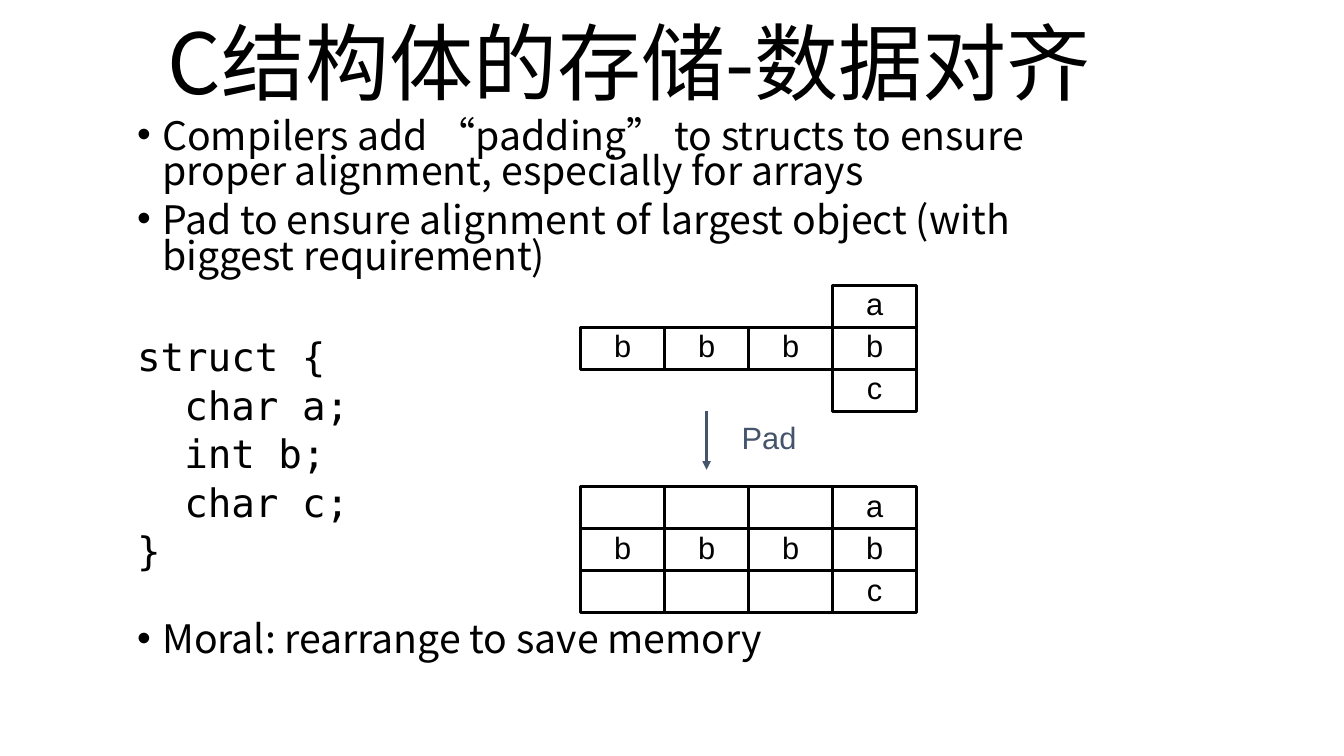
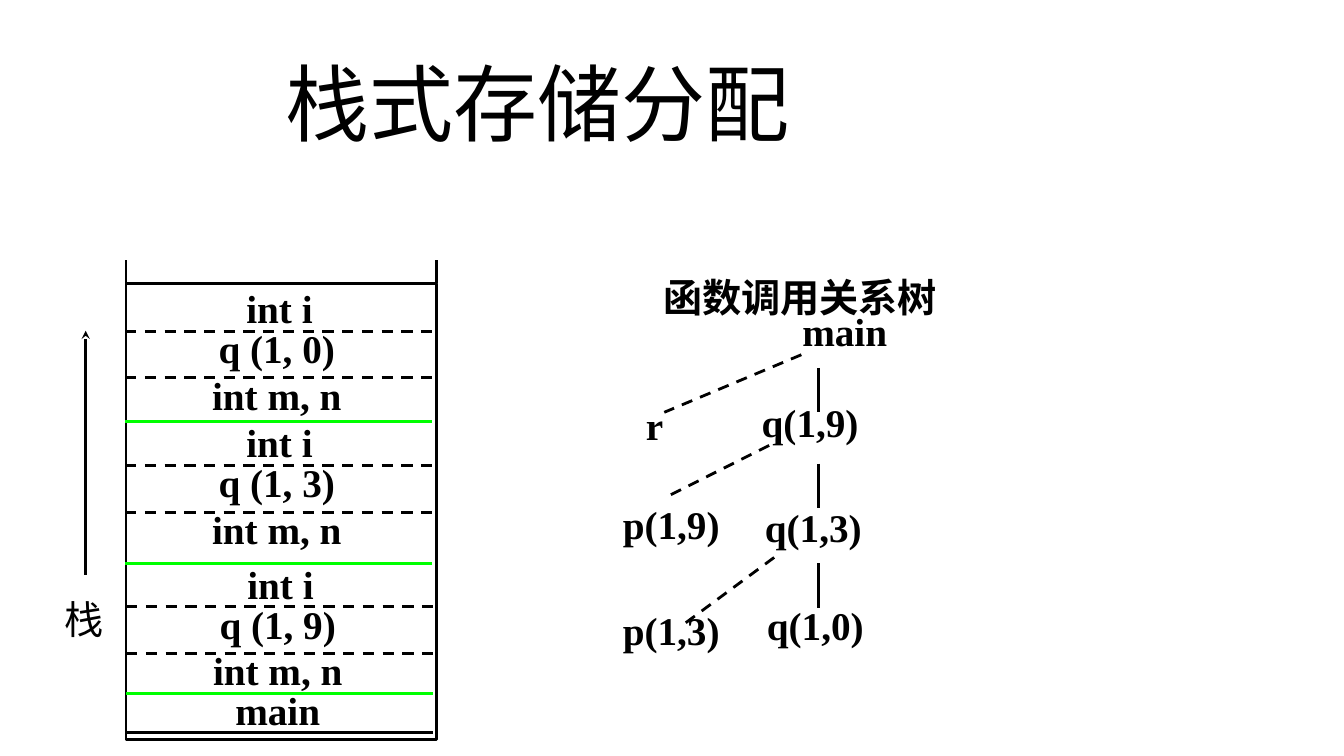
from dataclasses import dataclass

from lxml.etree import SubElement
from pptx import Presentation
from pptx.dml.color import RGBColor
from pptx.enum.dml import MSO_LINE
from pptx.enum.shapes import MSO_CONNECTOR, MSO_SHAPE
from pptx.enum.text import MSO_ANCHOR, MSO_AUTO_SIZE, PP_ALIGN
from pptx.oxml.ns import qn
from pptx.util import Pt


@dataclass(frozen=True)
class Theme:
    black: RGBColor = RGBColor(0, 0, 0)
    slate: RGBColor = RGBColor(0x44, 0x54, 0x6A)
    green: RGBColor = RGBColor(0, 0xFF, 0)
    sans: str = "Noto Sans CJK SC"
    mono: str = "DejaVu Sans Mono"
    cell: str = "Arial"
    serif: str = "Times New Roman"
    heading: str = "Courier New"
    title_size: int = 60
    text_size: int = 28
    cell_size: int = 22
    line_width: int = 2


THEME = Theme()


# Formatting helpers
def set_values(target, values):
    for name, value in values.items():
        setattr(target, name, value)


def place(shape, left, top, width, height):
    set_values(shape, {"left": Pt(left), "top": Pt(top),
                       "width": Pt(width), "height": Pt(height)})


def write(paragraph, text, font, size=THEME.text_size, color=THEME.black,
          bold=False, **paragraph_format):
    set_values(paragraph, paragraph_format)
    run = paragraph.add_run()
    run.text = text
    set_values(run.font, {"name": font, "size": Pt(size), "bold": bold})
    run.font.color.rgb = color
    east_asian = SubElement(run.font._element, qn("a:ea"))
    east_asian.set("typeface", THEME.sans)


def set_bullet(paragraph, margin, indent, bullet):
    properties = paragraph._p.get_or_add_pPr()
    properties.set("marL", str(Pt(margin)))
    properties.set("indent", str(Pt(indent)))
    if bullet:
        SubElement(properties, qn("a:buChar")).set("char", bullet)
    else:
        SubElement(properties, qn("a:buNone"))


# Kinds of element
def add_title(slide, text, *box):
    title = slide.shapes.title
    place(title, *box)
    set_values(title.text_frame, {"word_wrap": True,
                                  "auto_size": MSO_AUTO_SIZE.NONE,
                                  "vertical_anchor": MSO_ANCHOR.MIDDLE})
    write(title.text_frame.paragraphs[0], text, THEME.sans, THEME.title_size,
          alignment=PP_ALIGN.CENTER, line_spacing=0.9)


def add_body(slide, items, *box):
    body = slide.placeholders[1]
    place(body, *box)
    frame = body.text_frame
    set_values(frame, {"word_wrap": True, "auto_size": MSO_AUTO_SIZE.NONE,
                       "vertical_anchor": MSO_ANCHOR.TOP})
    for index, (text, font, before, spacing, margin, indent, bullet) in enumerate(items):
        paragraph = frame.add_paragraph() if index else frame.paragraphs[0]
        write(paragraph, text, font, space_before=Pt(before),
              space_after=Pt(0), line_spacing=spacing)
        set_bullet(paragraph, margin, indent, bullet)


def add_label(slide, text, box, font=THEME.serif, inset_top=3.6, **text_format):
    label = slide.shapes.add_textbox(*map(Pt, box))
    set_values(label.text_frame, {"word_wrap": True, "margin_top": Pt(inset_top)})
    write(label.text_frame.paragraphs[0], text, font, **text_format)


def add_box(slide, box, text=""):
    shape = slide.shapes.add_shape(MSO_SHAPE.RECTANGLE, *map(Pt, box))
    shape.shadow.inherit = False
    shape.fill.background()
    shape.line.width = Pt(THEME.line_width)
    shape.line.color.rgb = THEME.black
    if text:
        set_values(shape.text_frame, {"word_wrap": False,
                                      "vertical_anchor": MSO_ANCHOR.MIDDLE})
        write(shape.text_frame.paragraphs[0], text, THEME.cell, THEME.cell_size,
              alignment=PP_ALIGN.CENTER, line_spacing=0.85)


def add_line(slide, start, end, color=THEME.black, dashed=False, arrow=None):
    line = slide.shapes.add_connector(MSO_CONNECTOR.STRAIGHT,
                                      *map(Pt, (*start, *end)))
    line.line.width = Pt(THEME.line_width)
    line.line.color.rgb = color
    if dashed:
        line.line.dash_style = MSO_LINE.DASH
    if arrow:
        SubElement(line.line._get_or_add_ln(), qn("a:tailEnd")).set("type", arrow)
    SubElement(line._element.spPr, qn("a:effectLst"))


def add_memory_grid(slide, top, padded):
    left, width, height = 414.7, 60, 30
    for row, letters in enumerate((" " * 3 + "a", "bbbb", " " * 3 + "c")):
        for column, letter in enumerate(letters):
            if padded or letter.strip():
                add_box(slide, (left + column * width, top + row * height,
                                width, height), letter.strip())


def add_stack_label(slide, text, left, top):
    add_label(slide, text, (left, top, 211, 45), inset_top=6.5, bold=True,
              alignment=PP_ALIGN.CENTER)


def add_stack_frame(slide, call, left, top, bottom):
    for text, shift, offset in (("int i", 2, 0), (call, 0, 28.5), ("int m, n", 0, 62)):
        add_stack_label(slide, text, left + shift, top + offset)
    line_left = left - 2.8
    for y in (top + 40, top + 73.3):
        add_line(slide, (line_left, y), (line_left + 219, y), dashed=True)
    add_line(slide, (line_left, bottom), (line_left + 219, bottom), THEME.green)


# Slides
def build_alignment_slide(presentation):
    slide = presentation.slides.add_slide(presentation.slide_layouts[1])
    add_title(slide, "C结构体的存储-数据对齐", 29.5, 13, 839.5, 70.5)

    hanging = (18, -18, "•")
    outer, member = (0, 0, None), (33.7, 0, None)
    add_body(slide, [
        ("Compilers add “padding” to structs to ensure proper alignment, "
         "especially for arrays", THEME.sans, 0, 0.75, *hanging),
        ("Pad to ensure alignment of largest object (with biggest requirement)",
         THEME.sans, 10, 0.75, *hanging),
        ("struct {", THEME.mono, 39.5, 1.0, *outer),
        *((text, THEME.mono, 1, 1.0, *member)
          for text in ("char a;", "int b;", "char c;")),
        ("}", THEME.mono, 1, 1.0, *outer),
        ("Moral: rearrange to save memory", THEME.sans, 29.5, 1.0, *hanging),
    ], 90.7, 83.5, 656.6, 402.5)

    # Memory before and after padding
    add_memory_grid(slide, 203.8, padded=False)
    add_memory_grid(slide, 347.8, padded=True)
    add_line(slide, (504.7, 293.8), (504.7, 335.5), THEME.slate, arrow="triangle")
    add_label(slide, "Pad", (522.7, 299.5, 60, 29.5), THEME.cell,
              size=THEME.cell_size, color=THEME.slate, line_spacing=0.85)


def build_stack_slide(presentation):
    slide = presentation.slides.add_slide(presentation.slide_layouts[5])
    add_title(slide, "栈式存储分配", 48, 43.2, 672, 68.4)

    # Call tree
    add_label(slide, "函数调用关系树", (466.6, 191.5, 213.8, 39.6), THEME.heading,
              bold=True)
    for text, left, top, width in (
            ("main", 566, 216, 75.5), ("q(1,9)", 537, 280.8, 101.5),
            ("r", 454.3, 283, 52), ("p(1,9)", 437.8, 353.5, 101.5),
            ("q(1,3)", 539.3, 355.7, 101.5), ("p(1,3)", 437.8, 429.8, 101.5),
            ("q(1,0)", 540.7, 426.2, 101.5)):
        add_label(slide, text, (left, top, width, 52), bold=True,
                  alignment=PP_ALIGN.JUSTIFY)
    for top in (262.8, 331.2, 402.5):
        add_line(slide, (584.6, top), (584.6, top + 31.7))
    for start, end in (((572.4, 253.4), (474.5, 294.5)),
                       ((549.4, 318.2), (474.5, 355.7)),
                       ((553, 398.2), (489.6, 445))):
        add_line(slide, start, end, dashed=True)

    # Stack
    add_box(slide, (90, 202.3, 221.8, 326.2))
    for x in (90, 311.8):
        add_line(slide, (x, 185.8), (x, 202.3))
    for call, left, top, bottom in (("q (1, 0)", 92.2, 196.6, 301),
                                    ("q (1, 3)", 92.2, 292.5, 402.5),
                                    ("q (1, 9)", 92.9, 393.5, 495.4)):
        add_stack_frame(slide, call, left, top, bottom)
    add_stack_label(slide, "main", 92.9, 483.8)
    add_line(slide, (89.3, 523.4), (309.6, 523.4))

    # Direction of growth
    add_line(slide, (61.2, 410.4), (61.2, 236.2), arrow="stealth")
    add_label(slide, "栈", (38.9, 422, 45.4, 67.7), THEME.cell)


def main():
    presentation = Presentation()
    set_values(presentation, {"slide_width": Pt(960), "slide_height": Pt(540)})
    build_alignment_slide(presentation)
    build_stack_slide(presentation)
    presentation.save("out.pptx")


main()
